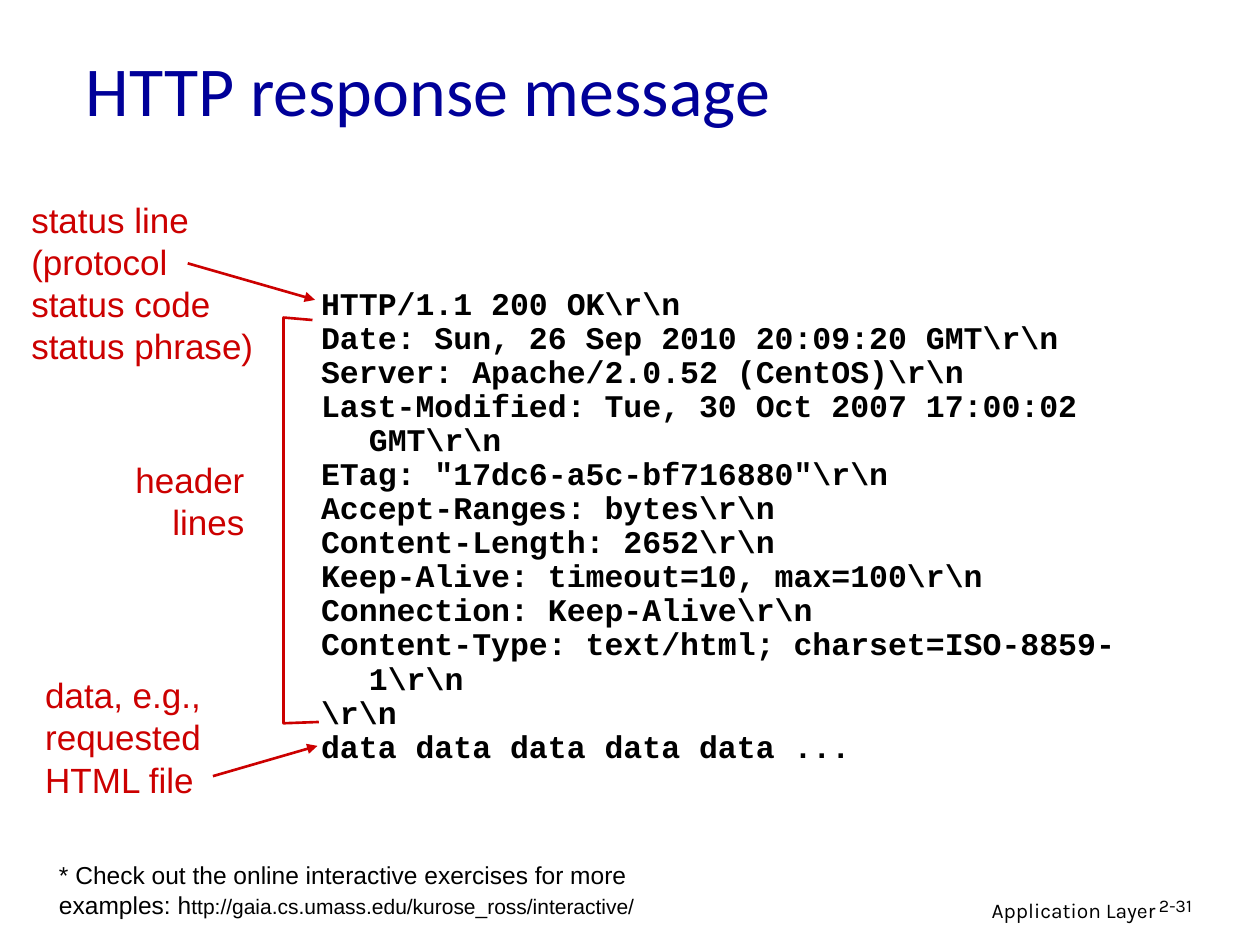
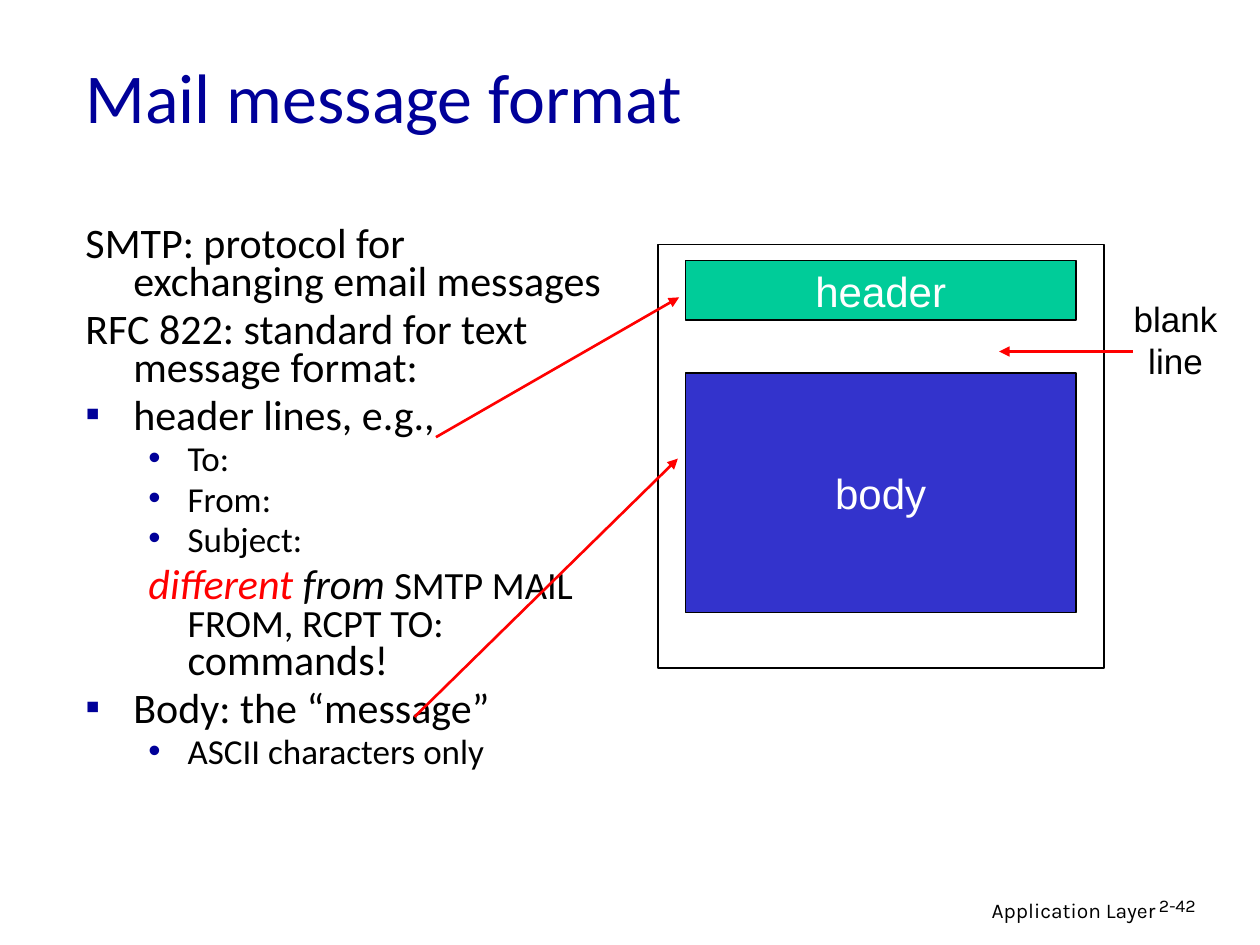
"""Builds two slides on the HTTP response message and the mail message format."""
from lxml.etree import SubElement
from pptx import Presentation
from pptx.dml.color import RGBColor
from pptx.enum.shapes import MSO_CONNECTOR, MSO_SHAPE
from pptx.enum.text import MSO_ANCHOR, MSO_AUTO_SIZE, PP_ALIGN
from pptx.oxml.ns import qn
from pptx.util import Inches, Pt

NAVY, DARK_RED, RED, BLACK, WHITE = "000099", "CC0000", "FF0000", "000000", "FFFFFF"
GREEN, BLUE = "00CC99", "3333CC"
color = RGBColor.from_string


def write_text(frame, lines, size=20, font="Arial", fill=BLACK, bold=False, align=PP_ALIGN.LEFT,
               spacing=None, before=0, left=0, hanging=0, level=0, bullet=None):
    """Adds one paragraph per line; a line is a string or a list of (text, size, fill, italic)."""
    for line in lines:
        is_first = not frame.text
        paragraph = frame.paragraphs[0] if is_first else frame.add_paragraph()
        properties = paragraph._p.get_or_add_pPr()
        properties.set("marL", str(Inches(left)))
        properties.set("indent", str(-Inches(hanging)))
        if bullet:
            bullet_color = SubElement(properties, qn("a:buClr"))
            SubElement(bullet_color, qn("a:srgbClr"), val=NAVY)
            SubElement(properties, qn("a:buFont"), typeface="Arial")
            SubElement(properties, qn("a:buChar"), char=bullet)
        paragraph.alignment = align
        paragraph.level = level
        paragraph.line_spacing = spacing
        paragraph.space_before = Pt(0 if is_first else before)
        pieces = [(line, size, fill, False)] if isinstance(line, str) else line
        for text, run_size, run_fill, italic in pieces:
            run = paragraph.add_run()
            run.text = text
            run.font.name = font
            run.font.size = Pt(run_size)
            run.font.bold = bold
            run.font.italic = italic
            run.font.color.rgb = color(run_fill)


def add_text_box(slide, box, wrap=True):
    """Adds an empty text box and gives back its text frame."""
    frame = slide.shapes.add_textbox(*map(Inches, box)).text_frame
    frame.word_wrap = wrap
    frame.auto_size = MSO_AUTO_SIZE.NONE
    return frame


presentation = Presentation()
presentation.slide_width = Inches(10)
presentation.slide_height = Inches(7.5)

slides = []
for title_text, title_top, title_height, number in [
    ("HTTP response message", 0.17, 1.07, "2-31"),
    ("Mail message format", 0.13, 1.25, "2-42"),
]:
    slide = presentation.slides.add_slide(presentation.slide_layouts[5])
    title = slide.shapes.title
    title.left, title.top = Inches(0.58), Inches(title_top)
    title.width, title.height = Inches(8.5), Inches(title_height)
    title.text_frame.auto_size = MSO_AUTO_SIZE.NONE
    title.text_frame.vertical_anchor = MSO_ANCHOR.MIDDLE
    write_text(title.text_frame, [title_text], size=40, font="Calibri", fill=NAVY)
    write_text(add_text_box(slide, (6.1, 7.07, 3.17, 0.31)), ["Application Layer"],
               size=12, font="Karla", align=PP_ALIGN.RIGHT)
    write_text(add_text_box(slide, (9.1, 7.07, 0.74, 0.3)), [number],
               size=10.2, font="Karla", spacing=0.9)
    slides.append(slide)
response_slide, mail_slide = slides

for slide, box, lines, fill, align in [
    (response_slide, (0.15, 1.53, 2.06, 1.44),
     ["status line", "(protocol", "status code", "status phrase)"], DARK_RED, PP_ALIGN.LEFT),
    (response_slide, (0.88, 3.59, 1.16, 0.77), ["header", "lines"], DARK_RED, PP_ALIGN.RIGHT),
    (response_slide, (0.26, 5.3, 1.61, 1.1),
     ["data, e.g.,", "requested", "HTML file"], DARK_RED, PP_ALIGN.LEFT),
    (mail_slide, (8.85, 2.31, 0.96, 0.77), ["blank", "line"], BLACK, PP_ALIGN.CENTER),
]:
    write_text(add_text_box(slide, box, wrap=False), lines, fill=fill, align=align)

response_lines = [
    r"HTTP/1.1 200 OK\r\n",
    r"Date: Sun, 26 Sep 2010 20:09:20 GMT\r\n",
    r"Server: Apache/2.0.52 (CentOS)\r\n",
    r"Last-Modified: Tue, 30 Oct 2007 17:00:02 GMT\r\n",
    r'ETag: "17dc6-a5c-bf716880"\r\n',
    r"Accept-Ranges: bytes\r\n",
    r"Content-Length: 2652\r\n",
    r"Keep-Alive: timeout=10, max=100\r\n",
    r"Connection: Keep-Alive\r\n",
    r"Content-Type: text/html; charset=ISO-8859-1\r\n",
    r"\r\n",
    "data data data data data ...",
]
write_text(add_text_box(response_slide, (2.45, 2.24, 6.9, 3.88)), response_lines, size=18,
           font="Courier New", bold=True, spacing=0.9, left=0.38, hanging=0.38)
write_text(add_text_box(response_slide, (0.37, 6.78, 4.93, 0.57)), [[
    ("* Check out the online interactive exercises for more examples: h", 14, BLACK, False),
    ("ttp://gaia.cs.umass.edu/kurose_ross/interactive/", 12, BLACK, False),
]])

bracket_points = [(Inches(x), Inches(y))
                  for x, y in [(2.48, 2.54), (2.25, 2.52), (2.25, 5.74), (2.53, 5.73)]]
bracket_builder = response_slide.shapes.build_freeform(*bracket_points[0])
bracket_builder.add_line_segments(bracket_points[1:], close=False)
bracket = bracket_builder.convert_to_shape()
bracket.shadow.inherit = False
bracket.fill.background()
bracket.line.color.rgb = color(DARK_RED)
bracket.line.width = Pt(1.5)

main_style = dict(size=24, font="Calibri", spacing=0.75, before=6, left=0.38, hanging=0.38)
sub_style = dict(size=20, font="Calibri", spacing=0.75, before=5, left=0.81, hanging=0.31, level=1)
mail_text = add_text_box(mail_slide, (0.58, 1.76, 4.29, 5.08))
different_line = [
    ("different ", 24, RED, True),
    ("from ", 24, BLACK, True),
    ("SMTP MAIL FROM, RCPT TO:", 22, BLACK, False),
    (" commands!", 24, BLACK, False),
]
write_text(mail_text, ["SMTP: protocol for exchanging email messages",
                       "RFC 822: standard for text message format:"], **main_style)
write_text(mail_text, ["header lines, e.g.,"], bullet="▪", **main_style)
write_text(mail_text, ["To:", "From:", "Subject:"], bullet="•", **sub_style)
write_text(mail_text, [different_line], **{**sub_style, "before": 6})
write_text(mail_text, ["Body: the “message”"], bullet="▪", **main_style)
write_text(mail_text, ["ASCII characters only"], bullet="•", **sub_style)

for label, box, fill, line_width in [
    ("header", (5.44, 2.07, 3.1, 0.47), GREEN, 0.75),
    ("body", (5.44, 2.96, 3.1, 1.9), BLUE, 0.75),
    (None, (5.22, 1.94, 3.54, 3.36), None, 1),
]:
    block = mail_slide.shapes.add_shape(MSO_SHAPE.RECTANGLE, *map(Inches, box))
    block.shadow.inherit = False
    block.line.color.rgb = color(BLACK)
    block.line.width = Pt(line_width)
    if label:
        block.fill.solid()
        block.fill.fore_color.rgb = color(fill)
        block.text_frame.vertical_anchor = MSO_ANCHOR.MIDDLE
        write_text(block.text_frame, [label], size=24, fill=WHITE, align=PP_ALIGN.CENTER)
    else:
        block.fill.background()

for slide, fill, ends in [
    (response_slide, DARK_RED, (1.49, 2.09, 2.5, 2.38)),
    (response_slide, DARK_RED, (1.69, 6.16, 2.52, 5.92)),
    (mail_slide, RED, (3.46, 3.47, 5.39, 2.36)),
    (mail_slide, RED, (3.29, 5.69, 5.38, 3.64)),
    (mail_slide, RED, (8.99, 2.79, 7.93, 2.79)),
]:
    arrow = slide.shapes.add_connector(MSO_CONNECTOR.STRAIGHT, *map(Inches, ends))
    arrow.line.color.rgb = color(fill)
    arrow.line.width = Pt(1.5)
    SubElement(arrow.line._get_or_add_ln(), qn("a:tailEnd"), type="triangle")
    SubElement(arrow._element.spPr, qn("a:effectLst"))

presentation.save("out.pptx")
